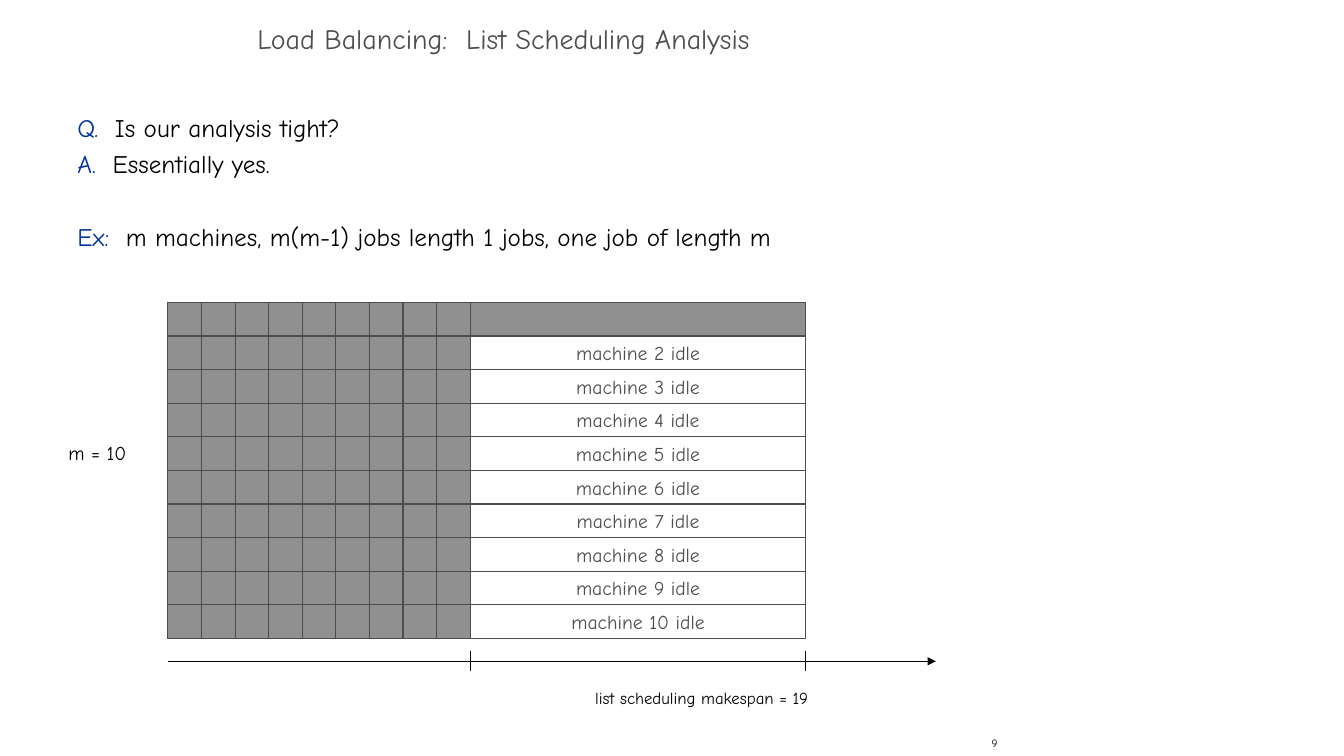
from lxml import etree
from pptx import Presentation
from pptx.dml.color import RGBColor
from pptx.enum.shapes import MSO_CONNECTOR, MSO_SHAPE
from pptx.enum.text import MSO_ANCHOR, PP_ALIGN
from pptx.oxml.ns import qn
from pptx.util import Inches, Pt

LEFT, CENTER, RIGHT = PP_ALIGN.LEFT, PP_ALIGN.CENTER, PP_ALIGN.RIGHT
TOP, MIDDLE = MSO_ANCHOR.TOP, MSO_ANCHOR.MIDDLE
RECTANGLE = MSO_SHAPE.RECTANGLE
STRAIGHT = MSO_CONNECTOR.STRAIGHT

BLACK = RGBColor(0x00, 0x00, 0x00)
WHITE = RGBColor(0xFF, 0xFF, 0xFF)
BLUE = RGBColor(0x00, 0x33, 0x99)
DARK_GRAY = RGBColor(0x4D, 0x4D, 0x4D)
JOB_GRAY = RGBColor(0x90, 0x90, 0x90)
FONT = "Comic Neue"

TITLE = "Load Balancing:  List Scheduling Analysis"
DISCUSSION = [
    ([("Q.  ", BLUE), ("Is our analysis tight?", BLACK)], 0),
    ([("A.  ", BLUE), ("Essentially yes.", BLACK)], 0),
    ([("Ex:  ", BLUE),
      ("m machines, m(m-1) jobs length 1 jobs, one job of length m", BLACK)], 26),
]
MACHINE_COUNT_LABEL = "m = 10"
MAKESPAN_LABEL = "list scheduling makespan = 19"
PAGE_NUMBER = "9"

MACHINES = 10
SHORT_JOBS = MACHINES - 1
UNIT = 1 / 3
CHART_LEFT, CHART_TOP = 5 * UNIT, 3
LONG_LEFT = CHART_LEFT + SHORT_JOBS * UNIT
LONG_WIDTH = MACHINES * UNIT
CHART_RIGHT = LONG_LEFT + LONG_WIDTH
AXIS_Y, AXIS_END, TICK = 6.56, 9.29, 0.1

deck = Presentation()
deck.slide_width, deck.slide_height = Inches(13.34), Inches(7.5)
slide = deck.slides.add_slide(deck.slide_layouts[6])


def write(holder, text, size=14, color=BLACK, align=LEFT, anchor=TOP,
          wrap=True, line_spacing=None):
    frame = holder.text_frame
    frame.word_wrap = wrap
    frame.vertical_anchor = anchor
    lines = [([(text, color)], 0)] if isinstance(text, str) else text
    for index, (parts, space_before) in enumerate(lines):
        paragraph = frame.add_paragraph() if index else frame.paragraphs[0]
        paragraph.alignment = align
        if line_spacing:
            paragraph.line_spacing = line_spacing
        if space_before:
            paragraph.space_before = Pt(space_before)
        for words, words_color in parts:
            run = paragraph.add_run()
            run.text = words
            run.font.name = FONT
            run.font.size = Pt(size)
            run.font.color.rgb = words_color


def text_area(left, top, width, height):
    return slide.shapes.add_textbox(*map(Inches, (left, top, width, height)))


def bar(left, top, width, fill):
    block = slide.shapes.add_shape(
        RECTANGLE, *map(Inches, (left, top, width, UNIT)))
    block.shadow.inherit = False
    block.fill.solid()
    block.fill.fore_color.rgb = fill
    block.line.color.rgb = DARK_GRAY
    block.line.width = Pt(0.75)
    return block


def rule(x1, y1, x2, y2, arrow=False):
    stroke = slide.shapes.add_connector(
        STRAIGHT, *map(Inches, (x1, y1, x2, y2)))
    stroke.line.color.rgb = BLACK
    stroke.line.width = Pt(0.75)
    if arrow:
        etree.SubElement(stroke.line._get_or_add_ln(), qn("a:tailEnd"),
                         type="triangle")
    etree.SubElement(stroke._element.spPr, qn("a:effectLst"))


write(text_area(7.92, 7.25, 2.08, 0.25), PAGE_NUMBER, size=8, align=RIGHT,
      anchor=MIDDLE, wrap=False)
write(text_area(0, 0.17, 10, 0.5), TITLE, size=20, color=DARK_GRAY,
      align=CENTER, anchor=MIDDLE, line_spacing=0.7)
write(text_area(0.67, 1, 8.58, 5.92), DISCUSSION, size=18, line_spacing=Pt(26))

for machine in range(1, MACHINES + 1):
    row_top = CHART_TOP + (machine - 1) * UNIT
    for job in range(SHORT_JOBS):
        bar(CHART_LEFT + job * UNIT, row_top, UNIT, JOB_GRAY)
    if machine == 1:
        bar(LONG_LEFT, row_top, LONG_WIDTH, JOB_GRAY)
    else:
        write(bar(LONG_LEFT, row_top, LONG_WIDTH, WHITE),
              f"machine {machine} idle", color=DARK_GRAY, align=CENTER,
              anchor=MIDDLE, wrap=False)

rule(CHART_LEFT, AXIS_Y, AXIS_END, AXIS_Y, arrow=True)
for tick_x in (LONG_LEFT, CHART_RIGHT):
    rule(tick_x, AXIS_Y - TICK, tick_x, AXIS_Y + TICK)

write(text_area(5.81, 6.77, 2.32, 0.3), MAKESPAN_LABEL, size=12, wrap=False)
write(text_area(0.58, 4.33, 0.92, 0.33), MACHINE_COUNT_LABEL)

deck.save("out.pptx")
